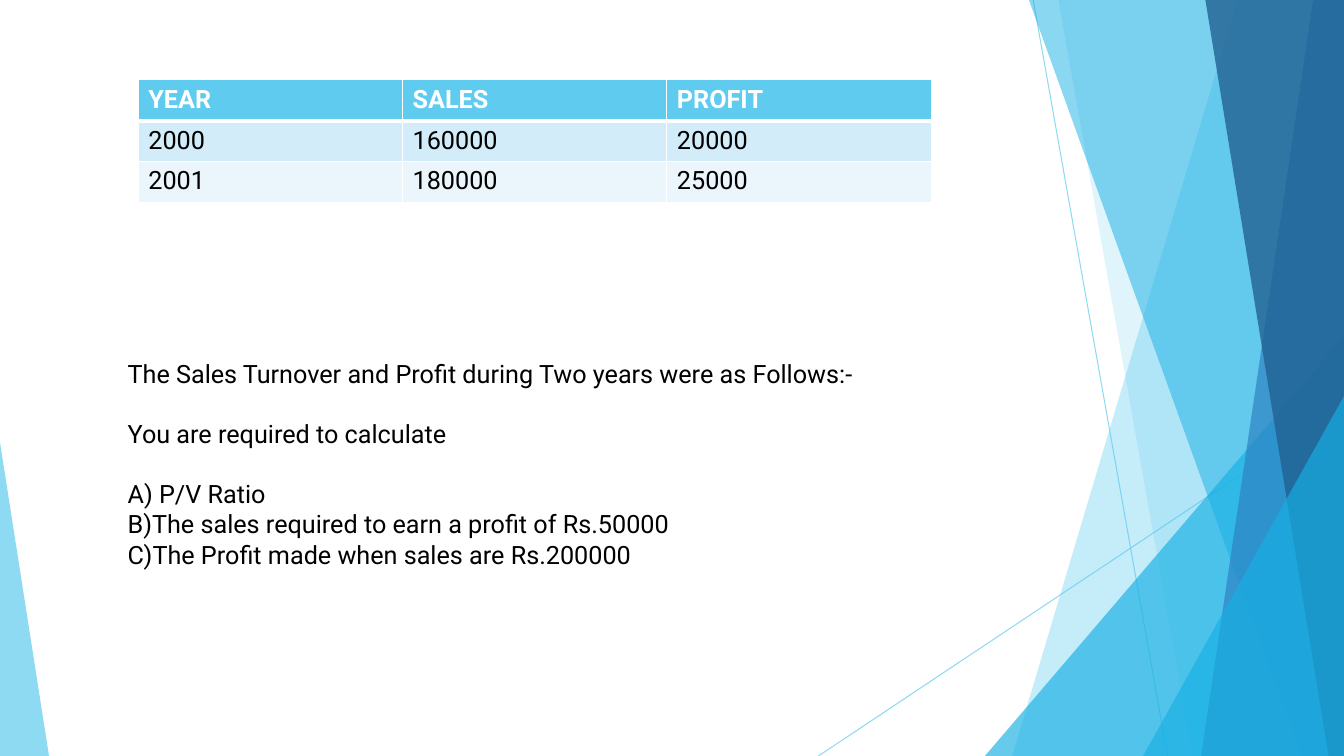
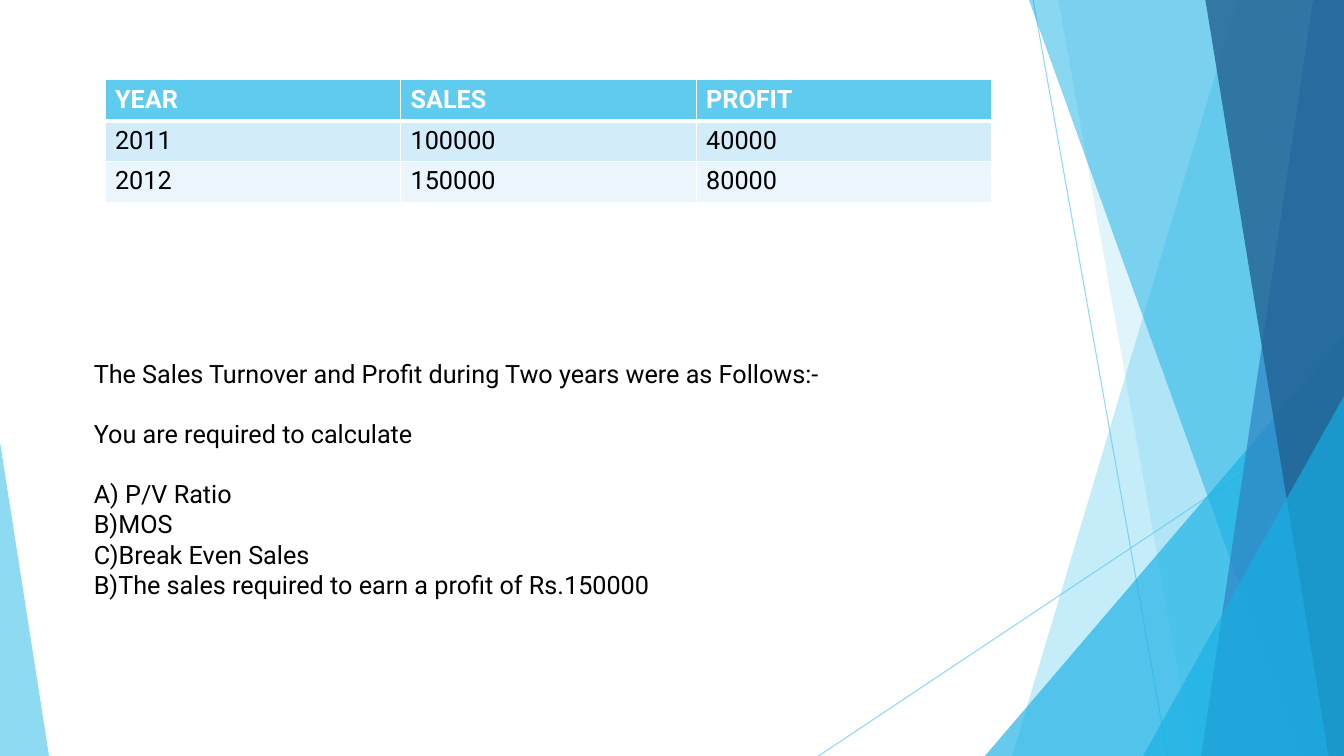
"""Build two cost accounting problem slides with a shared faceted backdrop."""
from lxml import etree
from pptx import Presentation
from pptx.dml.color import RGBColor
from pptx.enum.shapes import MSO_CONNECTOR, MSO_SHAPE
from pptx.enum.text import MSO_AUTO_SIZE
from pptx.oxml.ns import qn
from pptx.util import Pt

LINE = MSO_CONNECTOR.STRAIGHT
TRI = MSO_SHAPE.ISOSCELES_TRIANGLE
GROW = MSO_AUTO_SIZE.SHAPE_TO_FIT_TEXT
FONT = "Roboto"
SIZE = Pt(18)
WIDE, HIGH = 960, 540
GAP = 21.5
ROW = 29.2
HEX = {
    "sky": "5FCBEF", "cyan": "17B0E4", "blue": "2E83C3", "navy": "226292",
    "pale": "D2ECF9", "mist": "EAF6FC", "white": "FFFFFF", "black": "000000",
}
RGB = {name: RGBColor.from_string(code) for name, code in HEX.items()}

LINES = [(738, 0, 834, HIGH), (WIDE, 290, 584.6, HIGH)]
FACETS = [
    ("band", (884, 723), "sky", 36),
    ("band", (756, 852), "sky", 20),
    ("tri", (703.5, 240, 256.5, 1), "cyan", 66),
    ("band", (735, 929.5), "cyan", 50),
    ("band", (938, 858), "blue", 70),
    ("band", (861, 949), "navy", 80),
    ("tri", (816.5, 283, 143.5, 1), "cyan", 66),
    ("tri", (0, 316, 35, 0), "sky", 70),
]
HEAD = ["YEAR", "SALES", "PROFIT"]
INTRO = ["The Sales Turnover and Profit during Two years were as Follows:-",
         "You are required to calculate", "A) P/V Ratio"]
PAGES = [
    {"grid": (98.8, 566.4), "text": (84, 710.6, 160),
     "rows": [["2000", "160000", "20000"], ["2001", "180000", "25000"]],
     "asks": ["B)The sales required to earn a profit of Rs.50000",
              "C)The Profit made when sales are Rs.200000"]},
    {"grid": (75, 633.4), "text": (59.8, 679, 181.5),
     "rows": [["2011", "100000", "40000"], ["2012", "150000", "80000"]],
     "asks": ["B)MOS", "C)Break Even Sales",
              "B)The sales required to earn a profit of Rs.150000"]},
]


def fade(shape, alpha):
    for tint in shape.element.spPr.iter(qn("a:srgbClr")):
        etree.SubElement(tint, qn("a:alpha")).set("val", str(alpha * 1000))


def style(font, color, bold=False):
    font.name, font.size, font.bold = FONT, SIZE, bold
    font.color.rgb = RGB[color]


deck = Presentation()
deck.slide_width, deck.slide_height = Pt(WIDE), Pt(HIGH)
layout = deck.slide_layouts[1]
slides = [deck.slides.add_slide(layout) for page in PAGES]

shapes = slides[0].shapes
decor = []
for ends in LINES:
    line = shapes.add_connector(LINE, *map(Pt, ends))
    line.line.color.rgb = RGB["sky"]
    line.line.width = Pt(0.75)
    fade(line, 70)
    etree.SubElement(line.element.spPr, qn("a:effectLst"))
    decor.append(line)
for kind, place, color, alpha in FACETS:
    if kind == "band":
        top, base = place
        pen = shapes.build_freeform(Pt(top), 0)
        pen.add_line_segments([(Pt(WIDE), 0), (Pt(WIDE), Pt(HIGH)), (Pt(base), Pt(HIGH))])
        facet = pen.convert_to_shape()
    else:
        left, top, width, peak = place
        facet = shapes.add_shape(TRI, Pt(left), Pt(top), Pt(width), Pt(HIGH - top))
        facet.adjustments[0] = peak
    facet.shadow.inherit = False
    facet.fill.solid()
    facet.fill.fore_color.rgb = RGB[color]
    facet.line.fill.background()
    fade(facet, alpha)
    decor.append(facet)

tree = deck.slide_master.shapes.element
for spot, item in enumerate(decor):
    next(item.element.iter(qn("p:cNvPr"))).set("id", str(100 + spot))
    tree.insert(2 + spot, item.element)

for slide, page in zip(slides, PAGES):
    title, body = slide.placeholders
    title.element.getparent().remove(title.element)

    left, width = page["grid"]
    rows = [HEAD] + page["rows"]
    table = slide.shapes.add_table(
        len(rows), len(HEAD), Pt(left), Pt(57), Pt(width), Pt(ROW * len(rows))).table
    for col in table.columns:
        col.width = Pt(width / len(HEAD))
    for r, row in enumerate(rows):
        table.rows[r].height = Pt(ROW)
        for c, text in enumerate(row):
            cell = table.cell(r, c)
            cell.text = text
            style(cell.text_frame.paragraphs[0].runs[0].font,
                  "black" if r else "white", r == 0)
            props = cell._tc.get_or_add_tcPr()
            for side in "LRTB":
                thick = 3 if (r, side) in [(0, "B"), (1, "T")] else 1
                edge = etree.SubElement(props, qn("a:ln" + side), w=str(Pt(thick)))
                fill = etree.SubElement(edge, qn("a:solidFill"))
                etree.SubElement(fill, qn("a:srgbClr"), val=HEX["white"])
            cell.fill.solid()
            cell.fill.fore_color.rgb = RGB[["sky", "pale", "mist"][r]]

    left, width, height = page["text"]
    body.left, body.top = Pt(left), Pt(252)
    body.width, body.height = Pt(width), Pt(height)
    frame = body.text_frame
    frame.text = "\n".join(INTRO + page["asks"])
    frame.word_wrap = True
    frame.auto_size = GROW
    for n, para in enumerate(frame.paragraphs):
        props = para._p.get_or_add_pPr()
        props.set("marL", "0")
        props.set("indent", "0")
        etree.SubElement(props, qn("a:buNone"))
        para.space_before = Pt(GAP if n in (1, 2) else 0)
        style(para.runs[0].font, "black")

deck.save("out.pptx")
